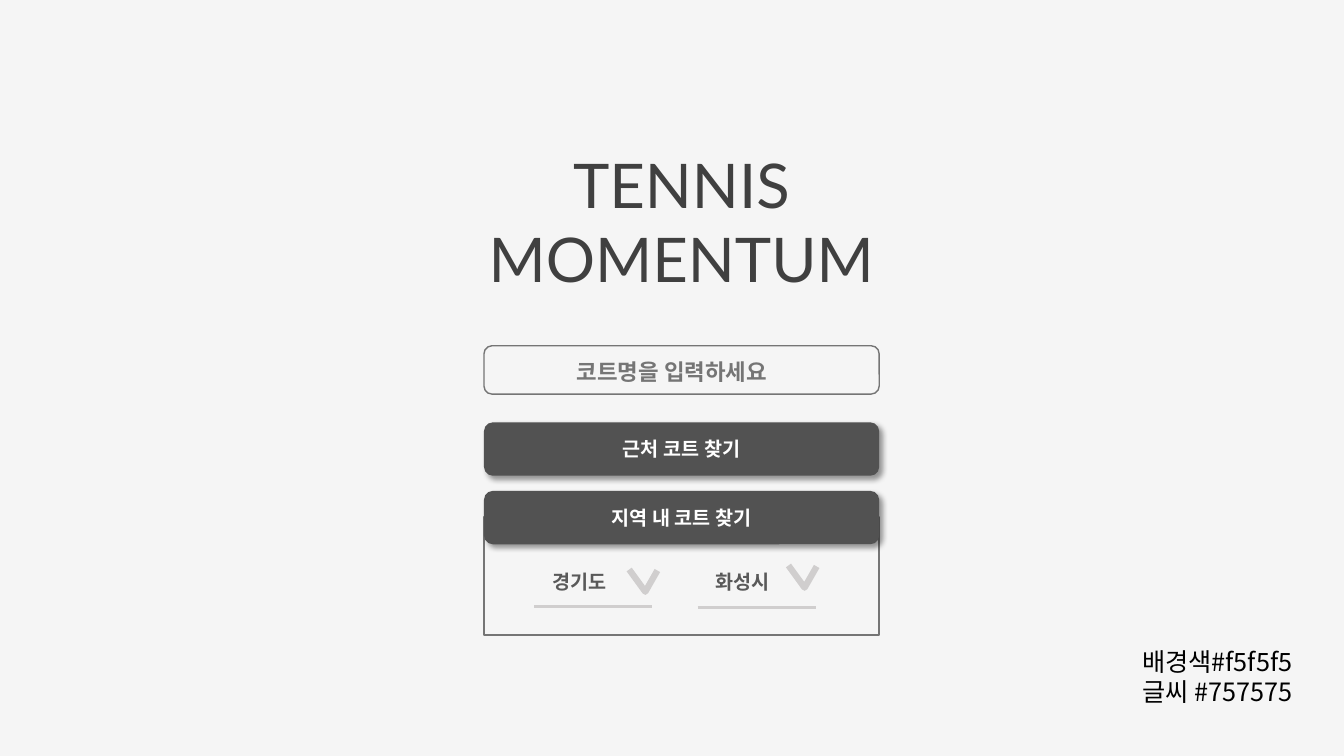
from lxml import etree
from pptx import Presentation, util as u
from pptx.dml.color import RGBColor
from pptx.enum import shapes as s, text as t
from pptx.oxml import ns

COLORS = {"page": "F5F5F5", "title": "404040", "button": "525252", "hint": "757575",
          "choice": "595959", "rule": "D0CECE", "white": "FFFFFF", "black": "000000"}
TITLE = "TENNIS MOMENTUM"
HINT = "코트명을 입력하세요"
BUTTONS = ["근처 코트 찾기", "지역 내 코트 찾기"]
CHOICES = [("경기도", 5.3, 6.02, 6.24, 5.65), ("화성시", 6.92, 6.03, 7.82, 5.61)]
PALETTE_NOTE = ["배경색#f5f5f5", "글씨 #757575"]

COLUMN_LEFT, COLUMN_WIDTH = 4.8, 3.92
BUTTON_TOP, BUTTON_STEP, BUTTON_HEIGHT = 4.19, 0.68, 0.53
CHOICE_TOP, CHOICE_WIDTH = 5.6, 1.17
CHEVRON = [(0, 0), (0.16, 0.22), (0.28, 0.01)]


def inches(*lengths):
    return [u.Inches(length) for length in lengths]


def color(name):
    return RGBColor.from_string(COLORS[name])


def write(shape, lines, font, size, ink, bold=False, align=None):
    for i, line in enumerate(lines):
        frame = shape.text_frame
        paragraph = frame.paragraphs[0] if i == 0 else frame.add_paragraph()
        paragraph.alignment = align
        run = paragraph.add_run()
        run.text = line
        run.font.name, run.font.size, run.font.bold = font, u.Pt(size), bold
        run.font.color.rgb = color(ink)
        east_asian = etree.SubElement(run.font._element, ns.qn("a:ea"))
        east_asian.set("typeface", "Noto Sans CJK KR")


def label(box, lines, font, size, ink, bold=False, align=None, wrap=True):
    holder = slide.shapes.add_textbox(*inches(*box))
    holder.text_frame.word_wrap = wrap
    write(holder, lines, font, size, ink, bold, align)


def outline(line, ink, width):
    line.color.rgb = color(ink)
    line.width = u.Pt(width)


def block(kind, box, fill=None, edge=None):
    shape = slide.shapes.add_shape(kind, *inches(*box))
    shape.shadow.inherit = False
    if fill:
        shape.fill.solid()
        shape.fill.fore_color.rgb = color(fill)
    else:
        shape.fill.background()
    if edge:
        outline(shape.line, edge, 1)
    else:
        shape.line.fill.background()
    shape.text_frame.vertical_anchor = t.MSO_ANCHOR.MIDDLE
    return shape


def button(row):
    top = BUTTON_TOP + row * BUTTON_STEP
    shape = block(ROUNDED, (COLUMN_LEFT, top, COLUMN_WIDTH, BUTTON_HEIGHT), "button")
    write(shape, [BUTTONS[row]], "Arial", 14, "white", True, CENTER)
    effects = shape._element.spPr.find(ns.qn("a:effectLst"))
    shadow = etree.SubElement(effects, ns.qn("a:outerShdw"), blurRad=str(u.Pt(4)),
                              dist=str(u.Pt(3)), dir=str(45 * 60000),
                              algn="tl", rotWithShape="0")
    shade = etree.SubElement(shadow, ns.qn("a:srgbClr"), val=COLORS["black"])
    etree.SubElement(shade, ns.qn("a:alpha"), val="40000")


def choice(name, left, rule_y, chevron_x, chevron_y):
    rule = slide.shapes.add_connector(
        s.MSO_CONNECTOR.STRAIGHT, *inches(left, rule_y, left + CHOICE_WIDTH, rule_y))
    etree.SubElement(rule._element.spPr, ns.qn("a:effectLst"))
    outline(rule.line, "rule", 2.25)
    label((left + 0.08, CHOICE_TOP, 1.25, 0.34), [name], "Arial", 14, "choice", True)
    points = [inches(chevron_x + x, chevron_y + y) for x, y in CHEVRON]
    builder = slide.shapes.build_freeform(*points[0])
    builder.add_line_segments(points[1:], close=False)
    chevron = builder.convert_to_shape()
    chevron.shadow.inherit = False
    chevron.fill.background()
    outline(chevron.line, "rule", 4.5)


ROUNDED = s.MSO_SHAPE.ROUNDED_RECTANGLE
CENTER = t.PP_ALIGN.CENTER

deck = Presentation()
deck.slide_width, deck.slide_height = inches(13.33, 7.5)
slide = deck.slides.add_slide(deck.slide_layouts[6])
slide.background.fill.solid()
slide.background.fill.fore_color.rgb = color("page")

label((11.23, 6.36, 1.77, 0.71), PALETTE_NOTE, "Noto Sans CJK KR", 18, "black", wrap=False)
hint = block(ROUNDED, (3.79, 3.33, 5.75, 0.71))
hint.adjustments[0] = 0.5
write(hint, [HINT], "Arial", 16, "hint", True, CENTER)
label((4.28, 1.41, 4.96, 1.58), [TITLE], "Lato", 44, "title", align=CENTER)
button(0)
for entry in CHOICES:
    choice(*entry)
block(s.MSO_SHAPE.RECTANGLE, (COLUMN_LEFT, 5.13, COLUMN_WIDTH, 1.17), edge="hint")
button(1)
block(ROUNDED, (COLUMN_LEFT, 3.43, COLUMN_WIDTH, 0.48), edge="hint")

deck.save("out.pptx")
